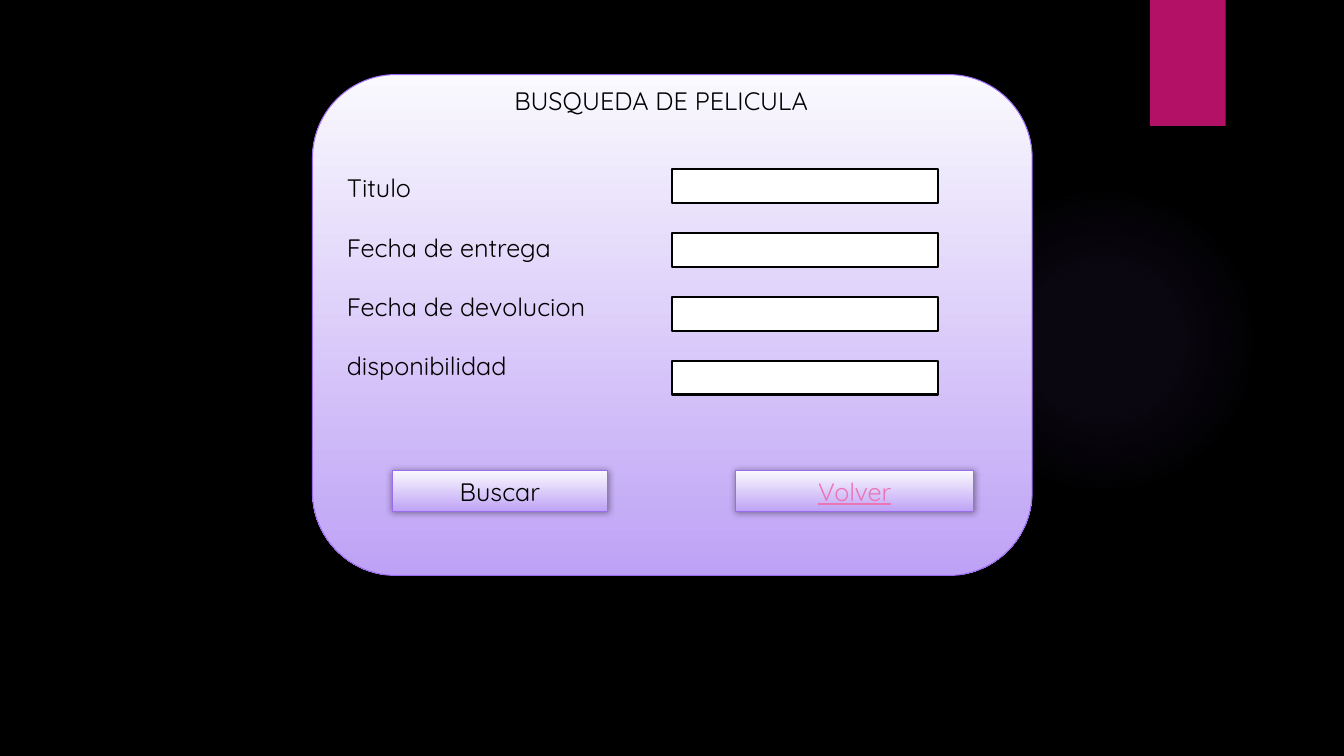
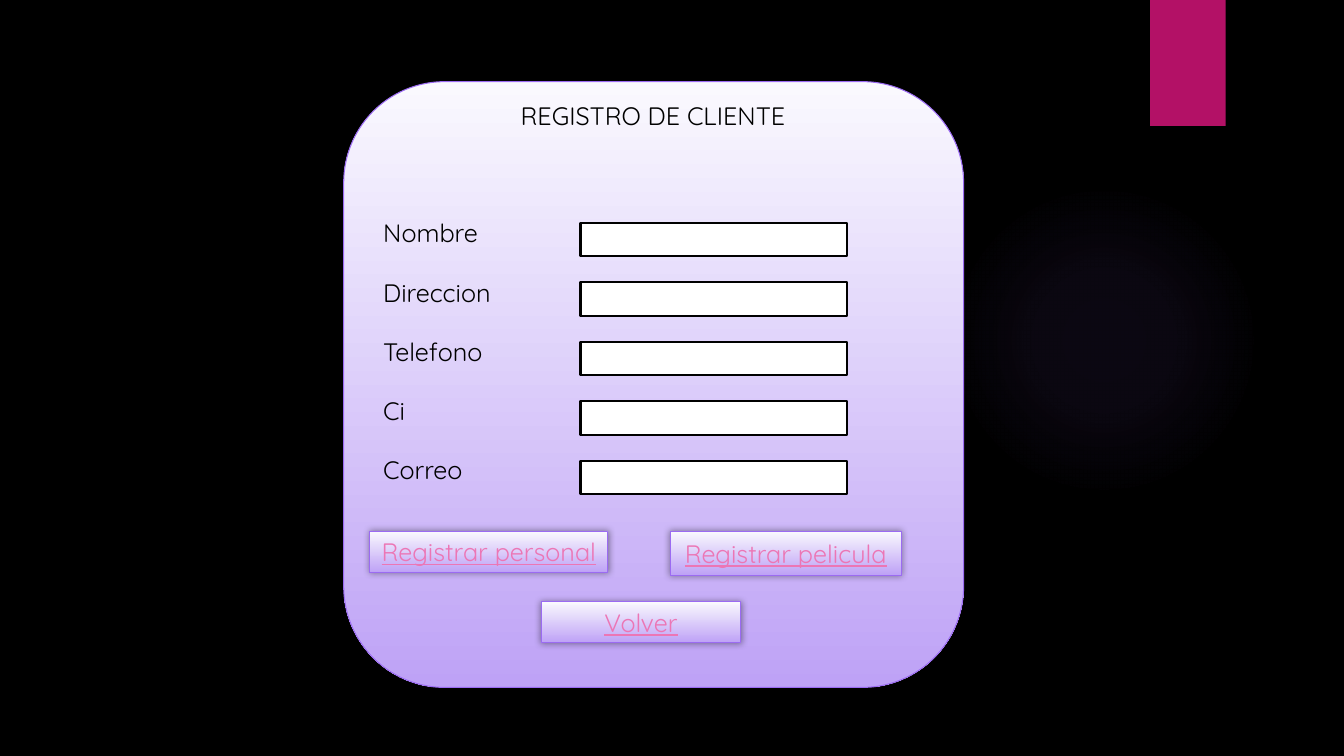
from pptx import Presentation
from pptx.dml.color import RGBColor
from pptx.enum.shapes import MSO_SHAPE
from pptx.enum.text import MSO_ANCHOR, PP_ALIGN
from pptx.oxml import parse_xml
from pptx.oxml.ns import nsdecls
from pptx.util import Pt

BLACK, WHITE, PINK = "000000", "FFFFFF", "EC76B5"
VIOLET, BAND = "9B6BF2", "B31166"
SHADE = ("FAF9FE", "BEA2F6")
FONT, SIZE = "Quicksand", 18

FORMS = [
    dict(title="BUSQUEDA DE PELICULA", head=(223.2, 51.8),
         card=(223.2, 53.3, 514.1, 357.8), inset=52.5,
         labels=["Titulo", "Fecha de entrega", "Fecha de devolucion", "disponibilidad"],
         field=(480.2, 121), step=45.6,
         buttons=[("Buscar", BLACK, (280.1, 336.2, 154, 29.5)),
                  ("Volver", PINK, (525.6, 336.2, 170, 29.5))]),
    dict(title="REGISTRO DE CLIENTE", head=(217.4, 62.6),
         card=(245.5, 58.3, 442.8, 432.7), inset=76,
         labels=["Nombre", "Direccion", "Telefono", "Ci", "Correo"],
         field=(414.7, 159.1), step=42.5,
         buttons=[("Registrar personal", PINK, (264.2, 379.4, 170, 29.5)),
                  ("Registrar pelicula", PINK, (478.8, 379.4, 164.9, 31.7)),
                  ("Volver", PINK, (386.6, 429.8, 142.6, 29.5))]),
]


def tint(code):
    return RGBColor.from_string(code)


def box(slide, kind, spot, fill=None, line=None, width=0.75, shadow=None):
    shape = slide.shapes.add_shape(kind, *[Pt(n) for n in spot])
    shape.shadow.inherit = False
    if fill == SHADE:
        shape.fill.gradient()
        shape.fill.gradient_angle = 270
        for stop, code in zip(shape.fill.gradient_stops, SHADE):
            stop.color.rgb = tint(code)
    elif fill:
        shape.fill.solid()
        shape.fill.fore_color.rgb = tint(fill)
    if line:
        shape.line.color.rgb = tint(line)
        shape.line.width = Pt(width)
    else:
        shape.line.fill.background()
    if shadow:
        alpha, blur, dist, angle = shadow
        shape.element.spPr[-1].append(parse_xml(
            f'<a:outerShdw {nsdecls("a")} blurRad="{Pt(blur)}" dist="{Pt(dist)}" '
            f'dir="{angle * 60000}" algn="ctr" rotWithShape="0"><a:srgbClr val="{BLACK}">'
            f'<a:alpha val="{alpha * 1000}"/></a:srgbClr></a:outerShdw>'))
    return shape


def style(para, code, align):
    para.alignment = align
    para.font.name = FONT
    para.font.size = Pt(SIZE)
    para.font.color.rgb = tint(code)


deck = Presentation()
deck.slide_width, deck.slide_height = Pt(960), Pt(540)
layout = deck.slide_layouts[5]
layout.background.fill.solid()
layout.background.fill.fore_color.rgb = tint(BLACK)
slides = [deck.slides.add_slide(layout) for form in FORMS]

glow = box(slides[0], MSO_SHAPE.OVAL, (677.5, 131.8, 221.8, 221.8))
stops = "".join(
    f'<a:gs pos="{pos * 1000}"><a:srgbClr val="{VIOLET}">'
    f'<a:alpha val="{alpha * 1000}"/></a:srgbClr></a:gs>'
    for pos, alpha in [(0, 7), (36, 6), (69, 0)])
glow.element.spPr.insert(2, parse_xml(
    f'<a:gradFill {nsdecls("a")}><a:gsLst>{stops}</a:gsLst><a:path path="circle">'
    '<a:fillToRect l="50000" t="50000" r="50000" b="50000"/></a:path></a:gradFill>'))
band = box(slides[0], MSO_SHAPE.RECTANGLE, (821.5, 0, 54, 90), BAND, shadow=(45, 3, 2, 90))
for mark, item in enumerate((glow, band), 20):
    item.element.nvSpPr.cNvPr.set("id", str(mark))
    layout.shapes.element.append(item.element)

for slide, form in zip(slides, FORMS):
    card = box(slide, MSO_SHAPE.ROUNDED_RECTANGLE, form["card"], SHADE, VIOLET)
    frame = card.text_frame
    frame.vertical_anchor = MSO_ANCHOR.TOP
    frame.margin_top = Pt(form["inset"])
    frame.text = "\n".join(form["labels"])
    for para in frame.paragraphs:
        style(para, BLACK, PP_ALIGN.LEFT)
        para.space_after = Pt(20.75)

    left, top = form["field"]
    for row in range(len(form["labels"])):
        spot = (left, top + row * form["step"], 190.1, 24)
        box(slide, MSO_SHAPE.RECTANGLE, spot, WHITE, BLACK, 1.5)

    for label, code, spot in form["buttons"]:
        button = box(slide, MSO_SHAPE.RECTANGLE, spot, SHADE, VIOLET, shadow=(40, 5, 0, 0))
        button.text_frame.text = label
        para = button.text_frame.paragraphs[0]
        style(para, code, PP_ALIGN.CENTER)
        if code == PINK:
            para.runs[0].font.underline = True

    title = slide.shapes.title
    title.left, title.top = [Pt(n) for n in form["head"]]
    title.width, title.height = Pt(498.2), Pt(40.3)
    title.text_frame.text = form["title"]
    title.text_frame.vertical_anchor = MSO_ANCHOR.MIDDLE
    style(title.text_frame.paragraphs[0], BLACK, PP_ALIGN.CENTER)
    slide.shapes.element.append(title.element)

deck.save("out.pptx")
